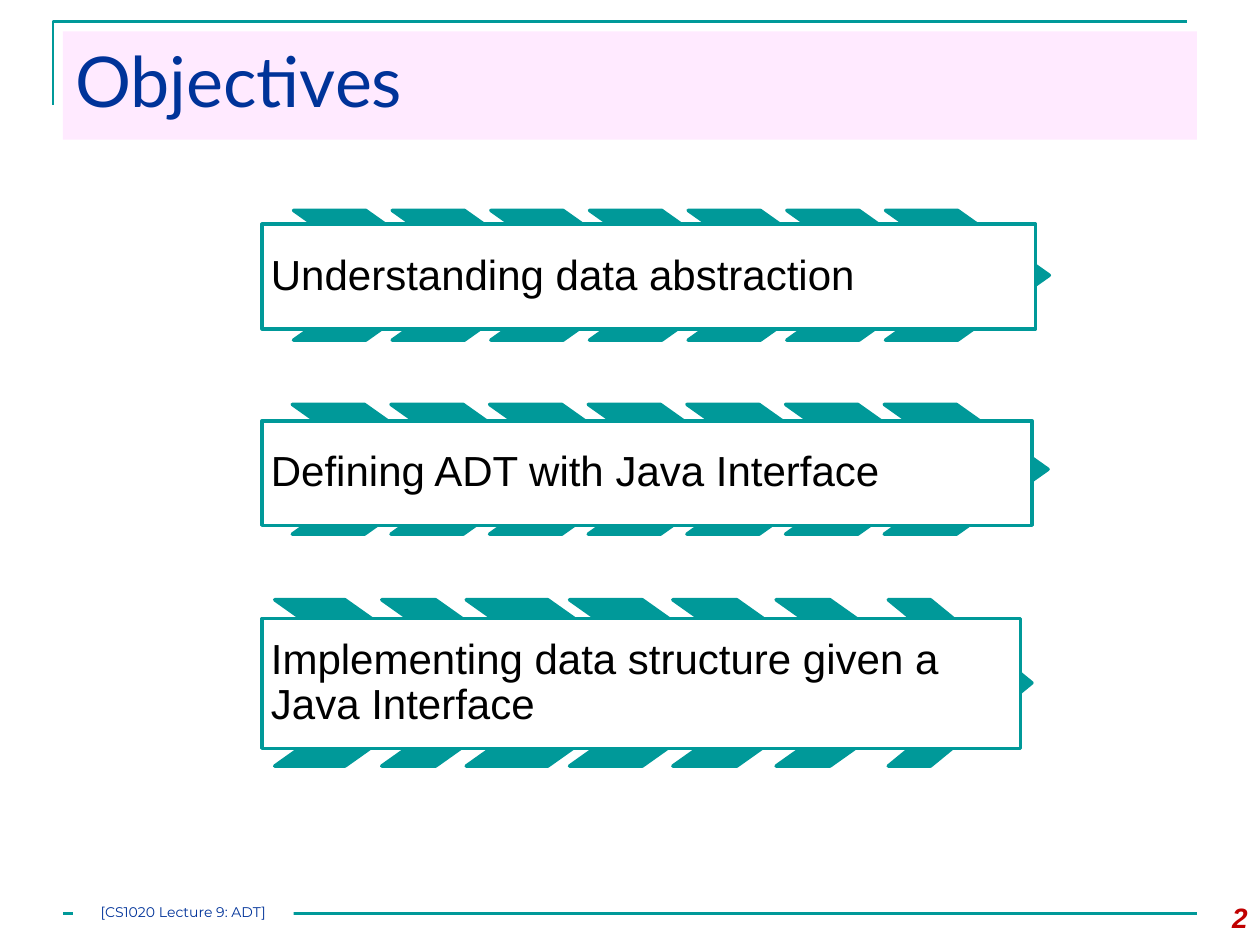
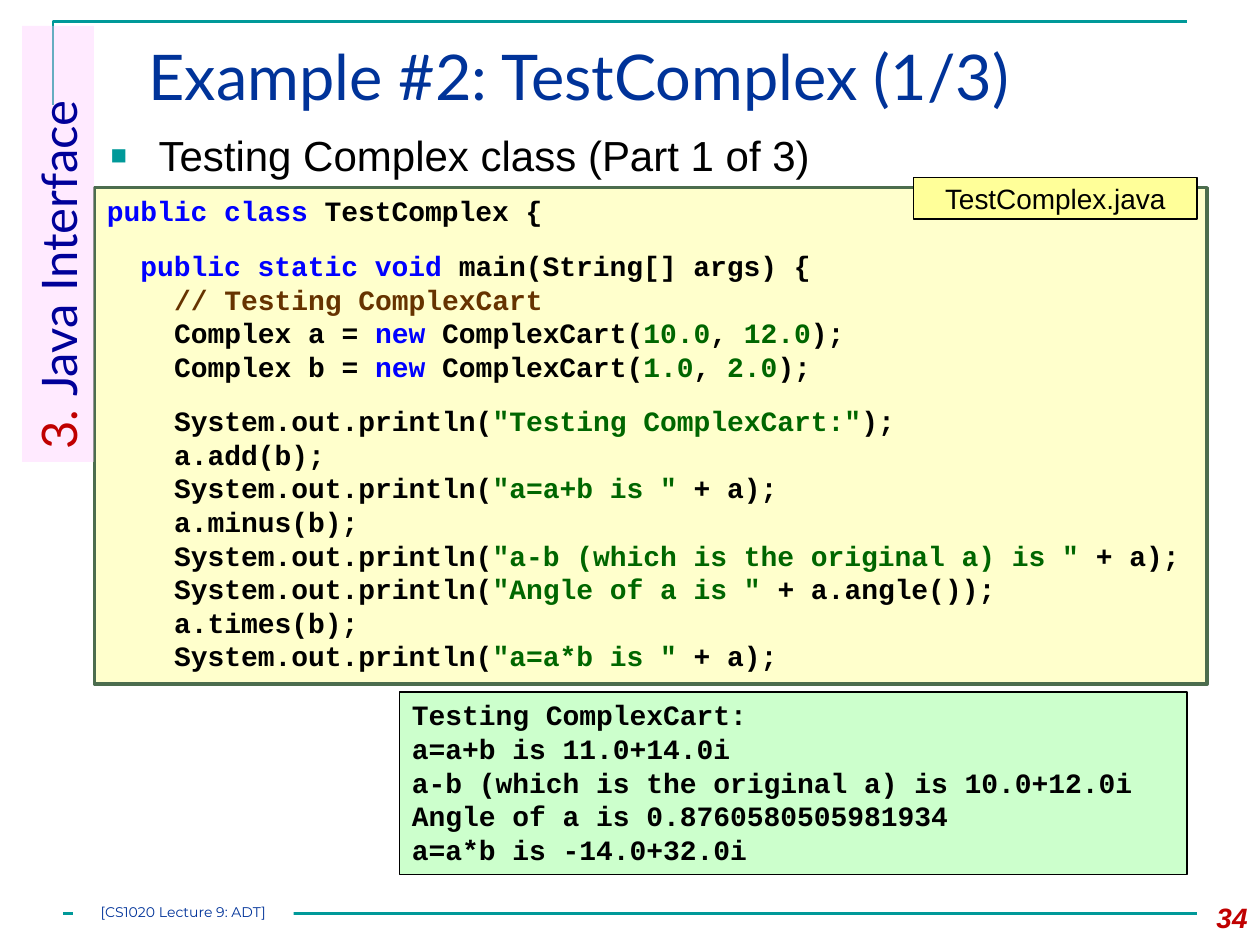
"""Build two lecture slides: the objectives and a Java test program."""
from lxml.etree import SubElement
from pptx import Presentation
from pptx.dml.color import RGBColor
from pptx.enum.shapes import MSO_CONNECTOR as Connector, MSO_SHAPE as Shape
from pptx.enum.text import MSO_ANCHOR as Anchor, PP_ALIGN as Align
from pptx.oxml.ns import qn
from pptx.util import Inches, Pt

TEAL = RGBColor(0x00, 0x99, 0x99)
NAVY = RGBColor(0x00, 0x33, 0x99)
INDIGO = RGBColor(0x00, 0x00, 0x99)
RED = RGBColor(0xC0, 0x00, 0x00)
PINK = RGBColor(0xFF, 0xCC, 0xFF)
WHITE = RGBColor(0xFF, 0xFF, 0xFF)
BLACK = RGBColor(0x00, 0x00, 0x00)
CREAM = RGBColor(0xFF, 0xFF, 0xCC)
YELLOW = RGBColor(0xFF, 0xFF, 0x99)
MINT = RGBColor(0xCC, 0xFF, 0xCC)
MOSS = RGBColor(0x4C, 0x6D, 0x4E)
KEYWORD = RGBColor(0x00, 0x00, 0xFF)
LITERAL = RGBColor(0x00, 0x66, 0x00)
COMMENT = RGBColor(0x66, 0x33, 0x00)

BODY, HEADING, SMALL, MONO = "Arial", "Lato", "Montserrat", "Courier New"
FOOTER = "[CS1020 Lecture 9: ADT]"
PINK_OPACITY = 40
CODE_INDENT = 0.267
CODE_GAP = 12


def even_chevrons(left):
    """Return seven equal chevrons as (left, width) pairs."""
    return [(left + 0.783 * step, 1.3) for step in range(7)]


OBJECTIVES = [
    {"text": "Understanding data abstraction", "panel": (2.08, 1.78, 6.14, 0.83),
     "top": 1.67, "height": 1.03, "chevrons": even_chevrons(2.33)},
    {"text": "Defining ADT with Java Interface", "panel": (2.08, 3.34, 6.11, 0.83),
     "top": 3.21, "height": 1.03, "chevrons": even_chevrons(2.32)},
    {"text": "Implementing data structure given a Java Interface",
     "panel": (2.08, 4.91, 6.02, 1.03), "top": 4.76, "height": 1.32,
     "chevrons": [(2.18, 1.49), (3.03, 1.36), (3.7, 1.58), (4.52, 1.51),
                  (5.34, 1.44), (6.16, 1.36), (7.05, 1.14)]},
]


def declaration(name, real, imaginary):
    """Return the runs that declare one complex number."""
    return [(f"Complex {name} = ", BLACK), ("new", KEYWORD), (" ComplexCart(", BLACK),
            (real, LITERAL), (", ", BLACK), (imaginary, LITERAL), (");", BLACK)]


def println(literal, rest):
    """Return the runs of one print statement."""
    return [("System.out.println(", BLACK), (literal, LITERAL), (rest, BLACK)]


CODE = [
    (0, 0, [("public class ", KEYWORD), ("TestComplex {", BLACK)]),
    (1, CODE_GAP, [("public static void ", KEYWORD), ("main(String[] args) {", BLACK)]),
    (2, 0, [("// Testing ComplexCart", COMMENT)]),
    (2, 0, declaration("a", "10.0", "12.0")),
    (2, 0, declaration("b", "1.0", "2.0")),
    (2, CODE_GAP, println('"Testing ComplexCart:"', ");")),
    (2, 0, [("a.add(b);", BLACK)]),
    (2, 0, println('"a=a+b is " ', "+ a);")),
    (2, 0, [("a.minus(b);", BLACK)]),
    (2, 0, println('"a-b (which is the original a) is " ', "+ a);")),
    (2, 0, println('"Angle of a is " ', "+ a.angle());")),
    (2, 0, [("a.times(b);", BLACK)]),
    (2, 0, println('"a=a*b is " ', "+ a);")),
]
OUTPUT = [
    "Testing ComplexCart:",
    "a=a+b is 11.0+14.0i",
    "a-b (which is the original a) is 10.0+12.0i",
    "Angle of a is 0.8760580505981934",
    "a=a*b is -14.0+32.0i",
]


def add_box(page, place, fill=None, line=None, width=1, kind=Shape.RECTANGLE,
            opacity=None):
    """Add a preset shape with top-left text."""
    box = page.shapes.add_shape(kind, *map(Inches, place))
    box.shadow.inherit = False
    if fill is None:
        box.fill.background()
    else:
        box.fill.solid()
        box.fill.fore_color.rgb = fill
    if opacity:
        color = box.fill._xPr.find(qn("a:solidFill"))[0]
        SubElement(color, qn("a:alpha"), val=str(opacity * 1000))
    if line is None:
        box.line.fill.background()
    else:
        box.line.color.rgb = line
        box.line.width = Pt(width)
    box.text_frame.word_wrap = True
    box.text_frame.vertical_anchor = Anchor.TOP
    return box


def set_margins(box, margin):
    """Give all four sides of a box the same text margin."""
    frame = box.text_frame
    frame.margin_left = frame.margin_right = Inches(margin)
    frame.margin_top = frame.margin_bottom = Inches(margin)


def write(box, lines, size, font, bold=False, italic=False, align=Align.LEFT):
    """Write lines of (text, colour) runs and return the paragraphs."""
    frame = box.text_frame
    paras = []
    for runs in lines:
        para = frame.add_paragraph() if paras else frame.paragraphs[0]
        para.alignment = align
        for text, color in runs:
            span = para.add_run()
            span.text = text
            span.font.size = Pt(size)
            span.font.name = font
            span.font.bold = bold
            span.font.italic = italic
            span.font.color.rgb = color
        paras.append(para)
    return paras


def add_bullet(para):
    """Turn a paragraph into a square-bulleted one."""
    props = para._p.get_or_add_pPr()
    props.set("marL", str(Inches(0.38)))
    props.set("indent", str(-Inches(0.38)))
    color = SubElement(props, qn("a:buClr"))
    SubElement(color, qn("a:srgbClr"), val=str(TEAL))
    SubElement(props, qn("a:buSzPct"), val="65000")
    SubElement(props, qn("a:buFont"), typeface=BODY)
    SubElement(props, qn("a:buChar"), char="■")


def add_page(deck):
    """Add a blank page with the corner line and the footer rule."""
    page = deck.slides.add_slide(deck.slide_layouts[6])
    builder = page.shapes.build_freeform(Inches(0.42), Inches(0.83))
    builder.add_line_segments([(Inches(0.42), Inches(0.17)),
                               (Inches(9.42), Inches(0.17))], close=False)
    corner = builder.convert_to_shape()
    corner.shadow.inherit = False
    corner.fill.background()
    rule = page.shapes.add_connector(Connector.STRAIGHT, Inches(0.5), Inches(7.25),
                                     Inches(9.5), Inches(7.25))
    SubElement(rule._element.spPr, qn("a:effectLst"))
    for stroke in (corner.line, rule.line):
        stroke.color.rgb = TEAL
        stroke.width = Pt(1.5)
    return page


def add_title(page, text, place, size, fill=None):
    """Add the page title."""
    title = add_box(page, place, fill, opacity=PINK_OPACITY if fill else None)
    write(title, [[(text, NAVY)]], size, HEADING)


def add_footer(page, number):
    """Add the lecture label and the page number."""
    label = add_box(page, (0.58, 7.17, 1.75, 0.17), WHITE)
    set_margins(label, 0)
    write(label, [[(FOOTER, NAVY)]], 8, SMALL, align=Align.CENTER)
    counter = add_box(page, (9.33, 7.1, 0.67, 0.4))
    write(counter, [[(str(number), RED)]], 16, BODY, True, True, Align.RIGHT)


def build_objectives(deck):
    """Build the page of objectives."""
    page = add_page(deck)
    add_title(page, "Objectives", (0.5, 0.25, 9, 0.86), 40, PINK)
    for goal in OBJECTIVES:
        for left, width in goal["chevrons"]:
            chevron = add_box(page, (left, goal["top"], width, goal["height"]),
                              TEAL, TEAL, 2, Shape.CHEVRON)
            chevron.adjustments[0] = 0.706
        panel = add_box(page, goal["panel"], WHITE, TEAL, 2)
        set_margins(panel, 0.07)
        panel.text_frame.vertical_anchor = Anchor.MIDDLE
        para, = write(panel, [[(goal["text"], BLACK)]], 24, BODY)
        para.line_spacing = 0.9
    add_footer(page, 2)


def build_example(deck):
    """Build the page with the test program and its output."""
    page = add_page(deck)
    add_title(page, "Example #2: TestComplex (1/3)", (1.08, 0.25, 8.67, 0.86), 36)
    topic = add_box(page, (0.78, 0.98, 8.58, 0.58))
    para, = write(topic, [[("Testing Complex class (Part 1 of 3)", BLACK)]], 24, BODY)
    para.space_before = Pt(6)
    add_bullet(para)

    output = add_box(page, (3.17, 5.49, 6.25, 1.45), MINT, BLACK)
    write(output, [[(line, BLACK)] for line in OUTPUT], 16, MONO, bold=True)

    listing = add_box(page, (0.75, 1.49, 8.83, 3.94), CREAM, MOSS, 2)
    paras = write(listing, [runs for _, _, runs in CODE], 16, MONO, bold=True)
    for para, (level, gap, _) in zip(paras, CODE):
        para.space_before = Pt(gap)
        para._p.get_or_add_pPr().set("marL", str(Inches(level * CODE_INDENT)))

    file_tag = add_box(page, (7.25, 1.41, 2.25, 0.33), YELLOW, BLACK, 0.75)
    file_tag.text_frame.vertical_anchor = Anchor.MIDDLE
    write(file_tag, [[("TestComplex.java", BLACK)]], 16, BODY, align=Align.CENTER)

    section = add_box(page, (-1.27, 1.65, 3.46, 0.57), PINK, opacity=PINK_OPACITY)
    section.rotation = 270
    write(section, [[("3. ", RED), ("Java Interface", INDIGO)]], 28, HEADING)
    add_footer(page, 34)


def main():
    """Build and save the deck."""
    deck = Presentation()
    deck.slide_width, deck.slide_height = Inches(10), Inches(7.5)
    build_objectives(deck)
    build_example(deck)
    deck.save("out.pptx")


if __name__ == "__main__":
    main()
